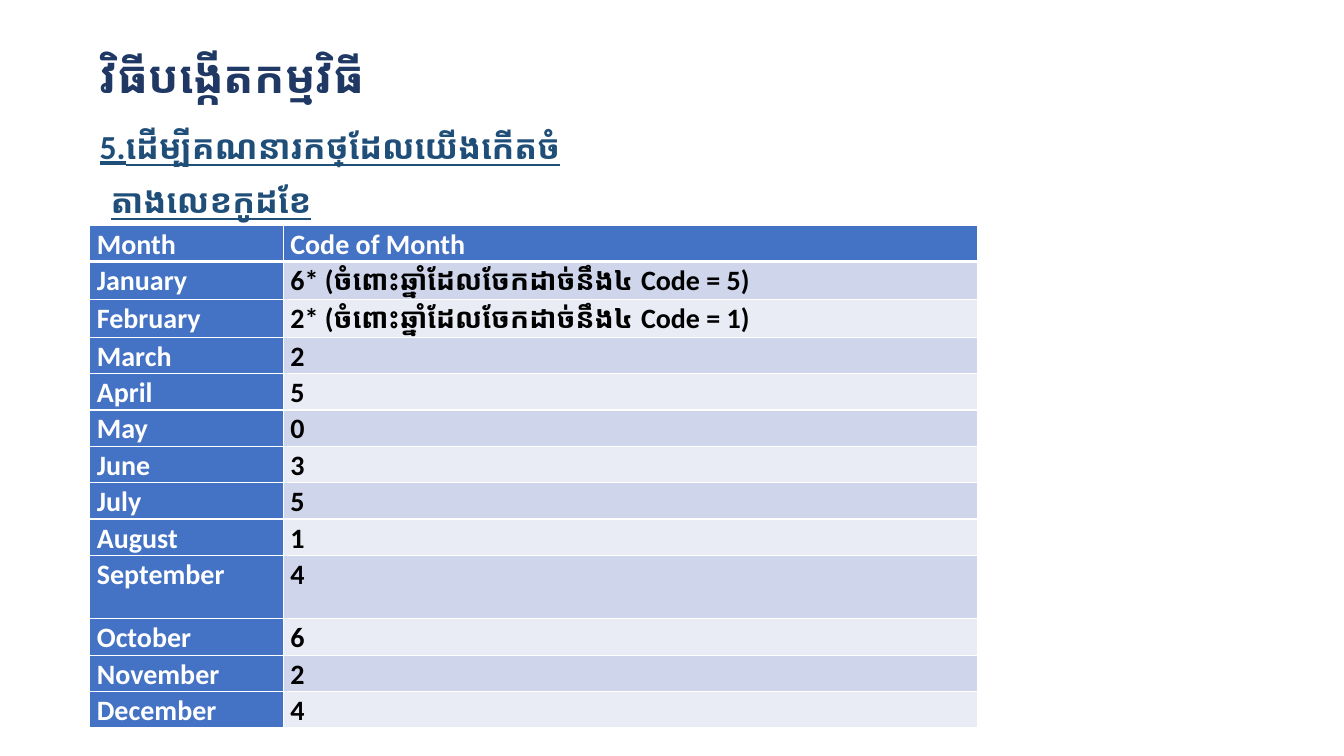
from dataclasses import dataclass

from lxml.etree import SubElement
from pptx import Presentation
from pptx.dml.color import RGBColor as RGB
from pptx.enum.text import MSO_ANCHOR as ANCHOR, MSO_AUTO_SIZE as AUTO, PP_ALIGN as ALIGN
from pptx.oxml.ns import qn
from pptx.util import Inches, Pt

SLIDE_W, SLIDE_H = Inches(13.33), Inches(7.5)


@dataclass(frozen=True)
class Theme:
    """Colours, fonts and type sizes of the slide."""
    title: str = "203864"
    heading: str = "1F4E79"
    key_fill: str = "4472C4"
    bands: tuple = ("CFD5EA", "E9EBF5")
    light: str = "FFFFFF"
    dark: str = "000000"
    title_font: str = "Open Sans"
    body_font: str = "Calibri"
    title_size: int = 32
    heading_size: int = 24
    table_size: int = 20


T = Theme()
LEFT = 6.68
LEAP_NOTE = "(ចំពោះឆ្នាំដែលចែកដាច់នឹង៤ Code = {})"
MONTH_CODES = [
    ("Month", "Code of Month"),
    ("January", "6* " + LEAP_NOTE.format(5)),
    ("February", "2* " + LEAP_NOTE.format(1)),
    ("March", "2"), ("April", "5"), ("May", "0"), ("June", "3"),
    ("July", "5"), ("August", "1"), ("September", "4"),
    ("October", "6"), ("November", "2"), ("December", "4"),
]
COLUMNS = (14.4, 51.69)
ROW = 4.81
SPECIAL_ROWS = {"January": 5, "February": 5, "September": 8.4}


def across(percent):
    """Turn a percentage of the slide's width into a length."""
    return int(SLIDE_W * percent / 100)


def down(percent):
    """Turn a percentage of the slide's height into a length."""
    return int(SLIDE_H * percent / 100)


def box(left, top, width, height):
    """Turn four percentages into a place and a size."""
    return across(left), down(top), across(width), down(height)


def write(tf, text, *, size, color, font=T.body_font, underline=False,
          spacing=1.0, before=0, anchor=ANCHOR.TOP):
    """Put one bold, left-aligned paragraph into a text frame."""
    tf.word_wrap = True
    tf.vertical_anchor = anchor
    p = tf.paragraphs[0]
    p.alignment, p.line_spacing, p.space_before = ALIGN.LEFT, spacing, Pt(before)
    r = p.add_run()
    r.text = text
    f = r.font
    f.name, f.size, f.bold = font, Pt(size), True
    f.color.rgb = RGB.from_string(color)
    if underline:
        f.underline = True


def add_title(s, text):
    """Move and format the title placeholder."""
    sp = s.shapes.title
    sp.left, sp.top, sp.width, sp.height = box(LEFT, 6.53, 91.52, 89.2)
    sp.text_frame.auto_size = AUTO.NONE
    write(sp.text_frame, text, size=T.title_size, color=T.title,
          font=T.title_font, spacing=0.9, before=10)


def add_heading(s, text, place, **fmt):
    """Add an underlined heading in a text box."""
    tf = s.shapes.add_textbox(*box(*place)).text_frame
    tf.auto_size = AUTO.SHAPE_TO_FIT_TEXT
    write(tf, text, size=T.heading_size, color=T.heading, underline=True, **fmt)


def set_borders(cell, bottom=1):
    """Draw light cell borders, placed ahead of the fill as the schema asks."""
    pr = cell._tc.get_or_add_tcPr()
    for i, (side, width) in enumerate((("L", 1), ("R", 1), ("T", 1), ("B", bottom))):
        ln = SubElement(pr, qn("a:ln" + side), w=str(Pt(width)))
        fill = SubElement(ln, qn("a:solidFill"))
        SubElement(fill, qn("a:srgbClr"), val=T.light)
        pr.insert(i, ln)


def format_cell(cell, text, row, col):
    """Fill, border and write one table cell."""
    is_key = row == 0 or col == 0
    cell.fill.solid()
    cell.fill.fore_color.rgb = RGB.from_string(
        T.key_fill if is_key else T.bands[(row - 1) % 2])
    set_borders(cell, bottom=3 if row == 0 else 1)
    cell.margin_left = cell.margin_right = Inches(0.07)
    cell.margin_top = cell.margin_bottom = 0
    write(cell.text_frame, text, size=T.table_size,
          color=T.light if is_key else T.dark, spacing=1.07)


def add_month_table(s, records):
    """Add the table of months and their codes."""
    heights = [SPECIAL_ROWS.get(month, ROW) for month, _ in records]
    place = box(LEFT, 29.8, sum(COLUMNS), sum(heights))
    table = s.shapes.add_table(len(records), len(COLUMNS), *place).table
    for column, width in zip(table.columns, COLUMNS):
        column.width = across(width)
    for i, (record, height) in enumerate(zip(records, heights)):
        table.rows[i].height = down(height)
        for j, text in enumerate(record):
            format_cell(table.cell(i, j), text, i, j)


def main():
    """Build and save the slide."""
    prs = Presentation()
    prs.slide_width, prs.slide_height = SLIDE_W, SLIDE_H
    s = prs.slides.add_slide(prs.slide_layouts[5])
    add_title(s, "វិធីបង្កើតកម្មវិធី")
    add_heading(s, "5.ដើម្បីគណនារកថ្ងៃដែលយើងកើតចំ", (LEFT, 13.6, 67.89, 8.8),
                spacing=1.5, anchor=ANCHOR.MIDDLE)
    add_heading(s, "តាងលេខកូដខែ", (7.5, 23.2, 66.09, 12.13))
    add_month_table(s, MONTH_CODES)
    prs.save("out.pptx")


main()
